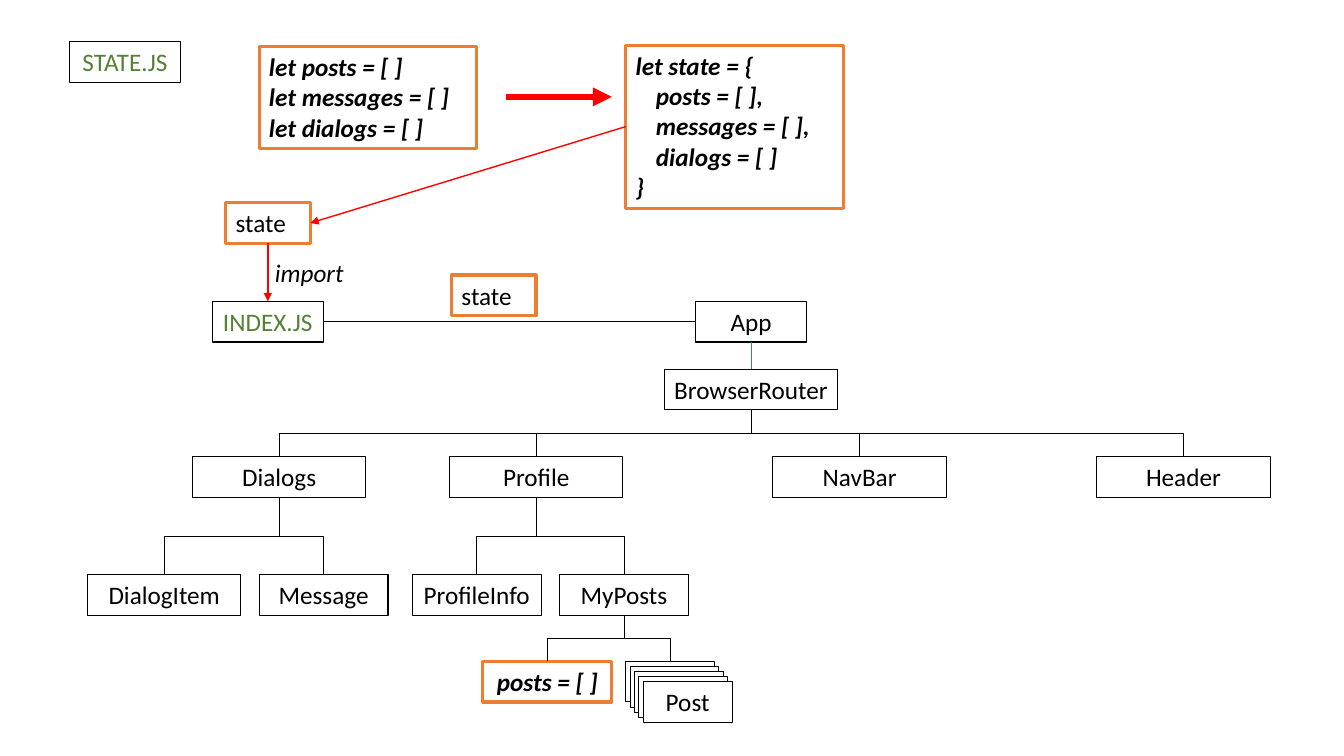
from lxml import etree
from pptx import Presentation
from pptx.dml.color import RGBColor
from pptx.enum.shapes import MSO_CONNECTOR, MSO_SHAPE
from pptx.enum.text import MSO_ANCHOR, MSO_AUTO_SIZE, PP_ALIGN
from pptx.oxml.ns import qn
from pptx.util import Cm, Pt

RECTANGLE = MSO_SHAPE.RECTANGLE
STRAIGHT, ELBOW = MSO_CONNECTOR.STRAIGHT, MSO_CONNECTOR.ELBOW
LEFT, CENTER = PP_ALIGN.LEFT, PP_ALIGN.CENTER
TOP_SITE, LEFT_SITE, BOTTOM_SITE, RIGHT_SITE = range(4)

BLACK = RGBColor(0x00, 0x00, 0x00)
WHITE = RGBColor(0xFF, 0xFF, 0xFF)
GREEN = RGBColor(0x54, 0x82, 0x35)
ORANGE = RGBColor(0xED, 0x7D, 0x31)
BLUE = RGBColor(0x44, 0x72, 0xC4)
RED = RGBColor(0xFF, 0x00, 0x00)

FONT = "Calibri"
ROW = 1.03  # height of a one-line box, cm
WIDE, MEDIUM, FILE_WIDTH, STATE_WIDTH, CODE_WIDTH = 4.37, 3.25, 2.8, 2.13, 5.49
CHILD_TOP, LEAF_TOP, POST_TOP = 11.5, 14.48, 16.66


def write_text(shape, lines, align=LEFT, color=BLACK, bold=False, italic=False,
               indented=(), side_margin=0.25):
    """Write one paragraph per line, indenting the listed line numbers."""
    frame = shape.text_frame
    frame.word_wrap = True
    frame.auto_size = MSO_AUTO_SIZE.SHAPE_TO_FIT_TEXT
    frame.vertical_anchor = MSO_ANCHOR.TOP
    frame.margin_left = frame.margin_right = Cm(side_margin)
    for number, line in enumerate(lines):
        paragraph = frame.paragraphs[0] if number == 0 else frame.add_paragraph()
        paragraph.alignment = align
        if number in indented:
            paragraph._p.get_or_add_pPr().set("indent", str(Cm(0.51)))
        run = paragraph.add_run()
        run.text = line
        font = run.font
        font.name, font.size = FONT, Pt(18)
        font.bold, font.italic = bold, italic
        font.color.rgb = color


def add_box(slide, left, top, width, height=ROW, line=BLACK, weight=0.75, fill=None):
    """Add a rectangle, unfilled unless a fill is given."""
    box = slide.shapes.add_shape(RECTANGLE, Cm(left), Cm(top), Cm(width), Cm(height))
    box.shadow.inherit = False
    if fill is None:
        box.fill.background()
    else:
        box.fill.solid()
        box.fill.fore_color.rgb = fill
    box.line.color.rgb = line
    box.line.width = Pt(weight)
    return box


def add_node(slide, name, left, top, width, color=BLACK, fill=None):
    """Add a named box of the component tree."""
    box = add_box(slide, left, top, width, fill=fill)
    write_text(box, [name], align=CENTER, color=color, side_margin=0.1)
    return box


def add_data_box(slide, lines, left, top, width, height=ROW, **text_format):
    """Add an orange-framed box holding data or code."""
    box = add_box(slide, left, top, width, height, ORANGE, 2.25, WHITE)
    write_text(box, lines, **text_format)
    return box


def style_connector(connector, color, weight):
    """Set the line of a connector and drop its shadow."""
    connector.line.color.rgb = color
    connector.line.width = Pt(weight)
    etree.SubElement(connector.element.spPr, qn("a:effectLst"))


def link_across(slide, start, end):
    """Join the right side of one box to the left side of another."""
    connector = slide.shapes.add_connector(ELBOW, 0, 0, 0, 0)
    connector.begin_connect(start, RIGHT_SITE)
    connector.end_connect(end, LEFT_SITE)
    style_connector(connector, BLACK, 0.5)


def link_down(slide, parent, child, color=BLACK):
    """Join a parent's bottom to a child's top with a turned elbow."""
    start_x, start_y = parent.left + parent.width // 2, parent.top + parent.height
    end_x, end_y = child.left + child.width // 2, child.top
    drop, spread = end_y - start_y, abs(end_x - start_x)
    connector = slide.shapes.add_connector(ELBOW, 0, 0, 0, 0)
    connector.begin_connect(parent, BOTTOM_SITE)
    connector.end_connect(child, TOP_SITE)
    connector.left = (start_x + end_x - drop) // 2
    connector.top = (start_y + end_y - spread) // 2
    connector.width, connector.height = drop, spread
    goes_left = end_x < start_x
    frame = connector.element.spPr.find(qn("a:xfrm"))
    frame.set("rot", "5400000" if goes_left else "16200000")
    frame.set("flipH", "0" if goes_left else "1")
    frame.set("flipV", "0")
    style_connector(connector, color, 0.5)


def add_arrow(slide, start, end, weight=1):
    """Add a straight red arrow between two points."""
    points = [Cm(value) for value in (*start, *end)]
    connector = slide.shapes.add_connector(STRAIGHT, *points)
    style_connector(connector, RED, weight)
    etree.SubElement(connector.line._get_or_add_ln(), qn("a:tailEnd"), type="triangle")


def add_component_tree(slide):
    """Draw the tree from INDEX.JS down to the posts."""
    index = add_node(slide, "INDEX.JS", 5.35, 7.59, FILE_WIDTH, GREEN)
    app = add_node(slide, "App", 17.53, 7.59, FILE_WIDTH)
    router = add_node(slide, "BrowserRouter", 16.74, 9.3, WIDE)
    link_across(slide, index, app)
    link_down(slide, app, router, BLUE)

    nodes = {}
    children = [("Dialogs", 4.85), ("Profile", 11.33), ("NavBar", 19.48), ("Header", 27.64)]
    for name, left in children:
        nodes[name] = add_node(slide, name, left, CHILD_TOP, WIDE)
        link_down(slide, router, nodes[name])

    leaves = [
        ("DialogItem", "Dialogs", 2.21, 3.86),
        ("Message", "Dialogs", 6.53, MEDIUM),
        ("ProfileInfo", "Profile", 10.39, MEDIUM),
        ("MyPosts", "Profile", 14.1, MEDIUM),
    ]
    for name, parent, left, width in leaves:
        nodes[name] = add_node(slide, name, left, LEAF_TOP, width)
        link_down(slide, nodes[parent], nodes[name])

    add_posts(slide, nodes["MyPosts"])


def add_posts(slide, my_posts):
    """Draw the posts array and the stack of Post cards."""
    card_left, card_width, step_x, step_y = 15.77, 2.24, 0.11, 0.13
    cards = [
        add_box(slide, card_left + step * step_x, POST_TOP + step * step_y,
                card_width, fill=WHITE)
        for step in range(5)
    ]
    write_text(cards[-1], ["Post"], align=CENTER)
    link_down(slide, my_posts, cards[0])
    posts = add_data_box(slide, ["posts = [ ]"], 12.17, POST_TOP, MEDIUM,
                         align=CENTER, bold=True, italic=True)
    link_down(slide, my_posts, posts)


def add_state_flow(slide):
    """Draw how the state is built and imported."""
    add_node(slide, "STATE.JS", 1.75, 1.04, FILE_WIDTH, GREEN)
    add_data_box(slide, ["let posts = [ ]", "let messages = [ ]", "let dialogs = [ ]"],
                 6.53, 1.17, CODE_WIDTH, 2.57, bold=True, italic=True)
    add_data_box(slide,
                 ["let state = {", "posts = [ ],", "messages = [ ],", "dialogs = [ ]", "}"],
                 15.77, 1.14, CODE_WIDTH, 4.11, bold=True, italic=True, indented=(1, 2, 3))
    add_arrow(slide, (12.75, 2.44), (15.42, 2.44), weight=4.5)
    add_data_box(slide, ["state"], 5.69, 5.11, STATE_WIDTH)
    add_arrow(slide, (15.77, 3.19), (7.82, 5.62))
    add_arrow(slide, (6.75, 6.13), (6.75, 7.59))
    label = slide.shapes.add_textbox(Cm(6.68), Cm(6.35), Cm(2.26), Cm(ROW))
    write_text(label, ["import"], italic=True)
    add_data_box(slide, ["state"], 11.38, 6.93, STATE_WIDTH)


def main():
    """Build the slide and save it."""
    presentation = Presentation()
    presentation.slide_width, presentation.slide_height = Cm(33.87), Cm(19.05)
    slide = presentation.slides.add_slide(presentation.slide_layouts[6])
    add_component_tree(slide)
    add_state_flow(slide)
    presentation.save("out.pptx")


main()
